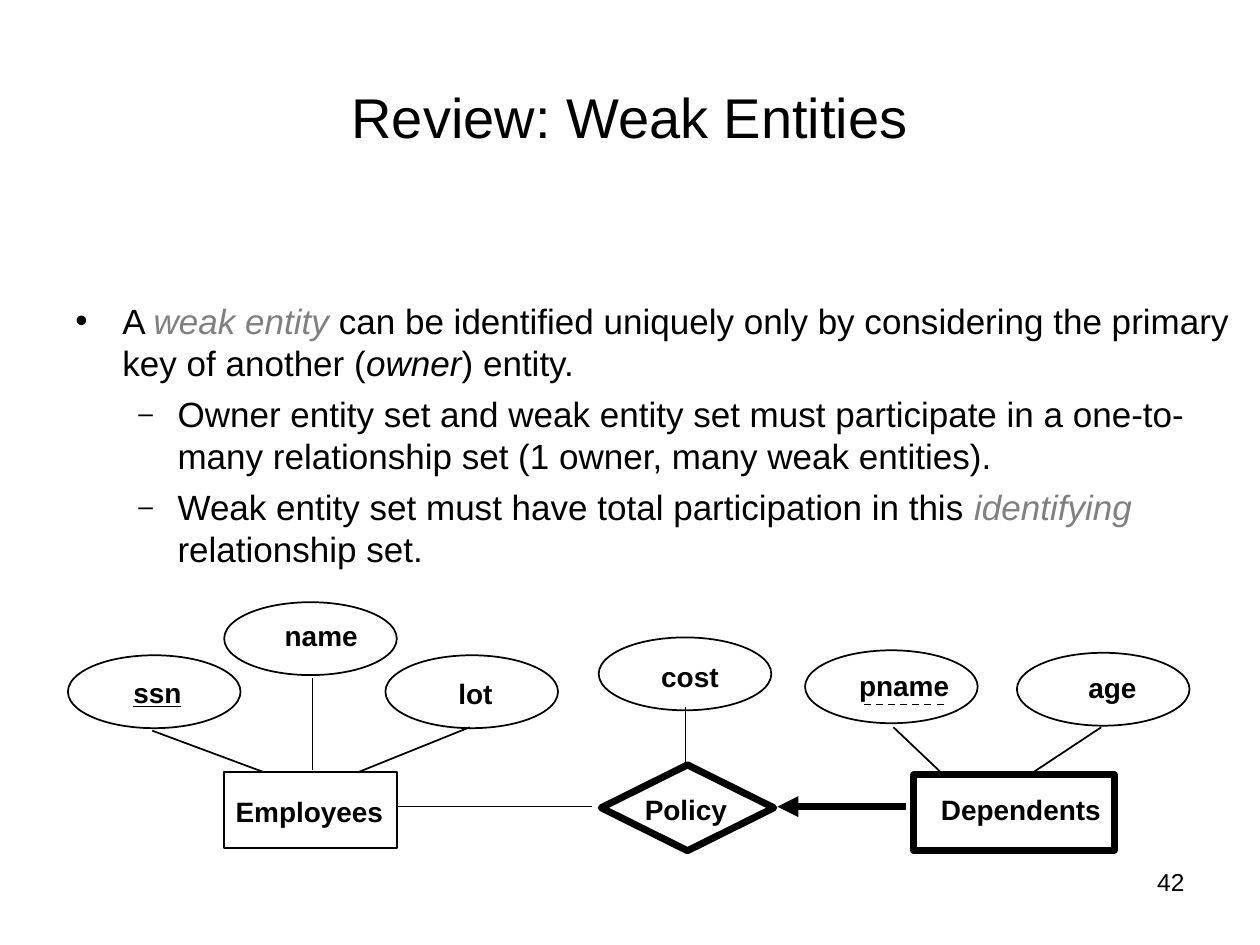
from pptx import Presentation
from pptx.dml.color import RGBColor
from pptx.enum.dml import MSO_LINE
from pptx.enum.shapes import MSO_CONNECTOR, MSO_SHAPE
from pptx.enum.text import MSO_ANCHOR, MSO_AUTO_SIZE, PP_ALIGN
from pptx.oxml.ns import qn
from pptx.util import Cm, Pt
from lxml.etree import SubElement

BLACK = RGBColor(0, 0, 0)
GRAY = RGBColor(0x80, 0x80, 0x80)
FONT = "Arial"
OVAL_SIZE = (3.48, 1.47)
LABEL_HEIGHT = 0.91

ATTRIBUTES = [
    ("cost", (12.07, 12.85), (13.08, 13.18, 1.8)),
    ("pname", (16.23, 13.11), (17.07, 13.36, 2.5)),
    ("age", (20.5, 13.16), (21.69, 13.39, 1.6)),
    ("ssn", (1.37, 13.21), (2.44, 13.49, 1.6)),
    ("lot", (7.77, 13.21), (8.99, 13.51, 1.3)),
    ("name", (4.52, 12.14), (5.49, 12.34, 2.1)),
]
SETS = [
    ("Employees", MSO_SHAPE.RECTANGLE, (4.52, 15.57, 3.48, 1.52), 1, (4.5, 15.9, 3.6)),
    ("Policy", MSO_SHAPE.DIAMOND, (12.12, 15.42, 3.48, 1.73), 4, (12.75, 15.85, 2.3)),
    ("Dependents", MSO_SHAPE.RECTANGLE, (18.42, 15.62, 4.04, 1.52), 4, (18.72, 15.85, 3.9)),
]
LINKS = [
    (6.3, 13.67, 6.3, 15.52),
    (3.07, 14.73, 5.33, 15.57),
    (9.47, 14.66, 7.21, 15.57),
    (13.82, 15.42, 13.82, 14.25),
    (18.01, 14.66, 19.02, 15.62),
    (22.2, 14.66, 20.75, 15.62),
    (11.94, 16.26, 8, 16.26),
]
REVIEW_POINTS = [
    (0, [("A ", {}), ("weak entity ", {"color": GRAY, "italic": True}),
         ("can be identified uniquely only by considering the primary key of another (", {}),
         ("owner", {"italic": True}), (") entity.", {})]),
    (1, [("Owner entity set and weak entity set must participate in a "
          "one-to-many relationship set (1 owner, many weak entities).", {})]),
    (1, [("Weak entity set must have total participation in this ", {}),
         ("identifying ", {"color": GRAY, "italic": True}),
         ("relationship set.", {})]),
]
BULLETS = [("•", 0.95, 0.95, 100), ("–", 2.06, 0.79, 75)]


def add_run(paragraph, text, size=20, color=BLACK, bold=False, italic=False, underline=False):
    run = paragraph.add_run()
    run.text = text
    font = run.font
    font.name, font.size = FONT, Pt(size)
    font.bold, font.italic, font.underline = bold, italic, underline
    font.color.rgb = color


def add_frame(slide, left, top, width, height, wrap=True, anchor=MSO_ANCHOR.TOP):
    frame = slide.shapes.add_textbox(Cm(left), Cm(top), Cm(width), Cm(height)).text_frame
    frame.word_wrap = wrap
    frame.auto_size = MSO_AUTO_SIZE.NONE if wrap else MSO_AUTO_SIZE.SHAPE_TO_FIT_TEXT
    frame.vertical_anchor = anchor
    return frame


def add_line_of_text(slide, text, box, align=PP_ALIGN.LEFT, wrap=True,
                     anchor=MSO_ANCHOR.TOP, **font):
    paragraph = add_frame(slide, *box, wrap=wrap, anchor=anchor).paragraphs[0]
    paragraph.alignment = align
    add_run(paragraph, text, **font)


def add_label(slide, text, place, underline=False):
    add_line_of_text(slide, text, (*place, LABEL_HEIGHT), wrap=False,
                     size=16, bold=True, underline=underline)


def set_bullet(paragraph, level):
    mark, margin, hanging, percent = BULLETS[level]
    props = paragraph._p.get_or_add_pPr()
    props.set("marL", str(Cm(margin)))
    props.set("indent", str(-Cm(hanging)))
    SubElement(props, qn("a:buSzPct"), val=str(percent * 1000))
    SubElement(props, qn("a:buFont"), typeface=FONT)
    SubElement(props, qn("a:buChar"), char=mark)


def add_review_points(slide):
    frame = add_frame(slide, 1.27, 5.92, 23.93, 12.27)
    for number, (level, runs) in enumerate(REVIEW_POINTS):
        paragraph = frame.add_paragraph() if number else frame.paragraphs[0]
        paragraph.level = level
        if number:
            paragraph.space_before = Pt(5)
        set_bullet(paragraph, level)
        for text, font in runs:
            add_run(paragraph, text, **font)


def add_outline(slide, preset, box, weight=1):
    outline = slide.shapes.add_shape(preset, *map(Cm, box))
    outline.shadow.inherit = False
    outline.fill.background()
    outline.line.color.rgb = BLACK
    outline.line.width = Pt(weight)
    SubElement(outline.line._get_or_add_ln(), qn("a:round"))


def add_link(slide, ends, weight=1, dashed=False, arrow=False):
    link = slide.shapes.add_connector(MSO_CONNECTOR.STRAIGHT, *map(Cm, ends))
    link.line.color.rgb = BLACK
    link.line.width = Pt(weight)
    if dashed:
        link.line.dash_style = MSO_LINE.DASH
    if arrow:
        SubElement(link.line._get_or_add_ln(), qn("a:headEnd"), type="triangle")
    SubElement(link._element.spPr, qn("a:effectLst"))


def add_diagram(slide):
    for _, corner, _ in ATTRIBUTES:
        add_outline(slide, MSO_SHAPE.OVAL, (*corner, *OVAL_SIZE))
    for _, preset, box, weight, _ in SETS:
        add_outline(slide, preset, box, weight)
    for name, _, place in ATTRIBUTES:
        add_label(slide, name, place, underline=name == "ssn")
    for name, *_, place in SETS:
        add_label(slide, name, place)
    for ends in LINKS:
        add_link(slide, ends)
    add_link(slide, (19.02, 14.2, 17.32, 14.2), dashed=True)
    add_link(slide, (15.67, 16.26, 18.26, 16.26), weight=4, arrow=True)


def main():
    deck = Presentation()
    deck.slide_width, deck.slide_height = Cm(25.4), Cm(19.05)
    slide = deck.slides.add_slide(deck.slide_layouts[6])
    add_line_of_text(slide, "42", (18.21, 17.35, 5.92, 1.32), align=PP_ALIGN.RIGHT, size=14)
    add_line_of_text(slide, "Review: Weak Entities", (1.27, 0.76, 22.86, 3.18),
                     align=PP_ALIGN.CENTER, anchor=MSO_ANCHOR.MIDDLE, size=32)
    add_review_points(slide)
    add_diagram(slide)
    deck.save("out.pptx")


if __name__ == "__main__":
    main()
